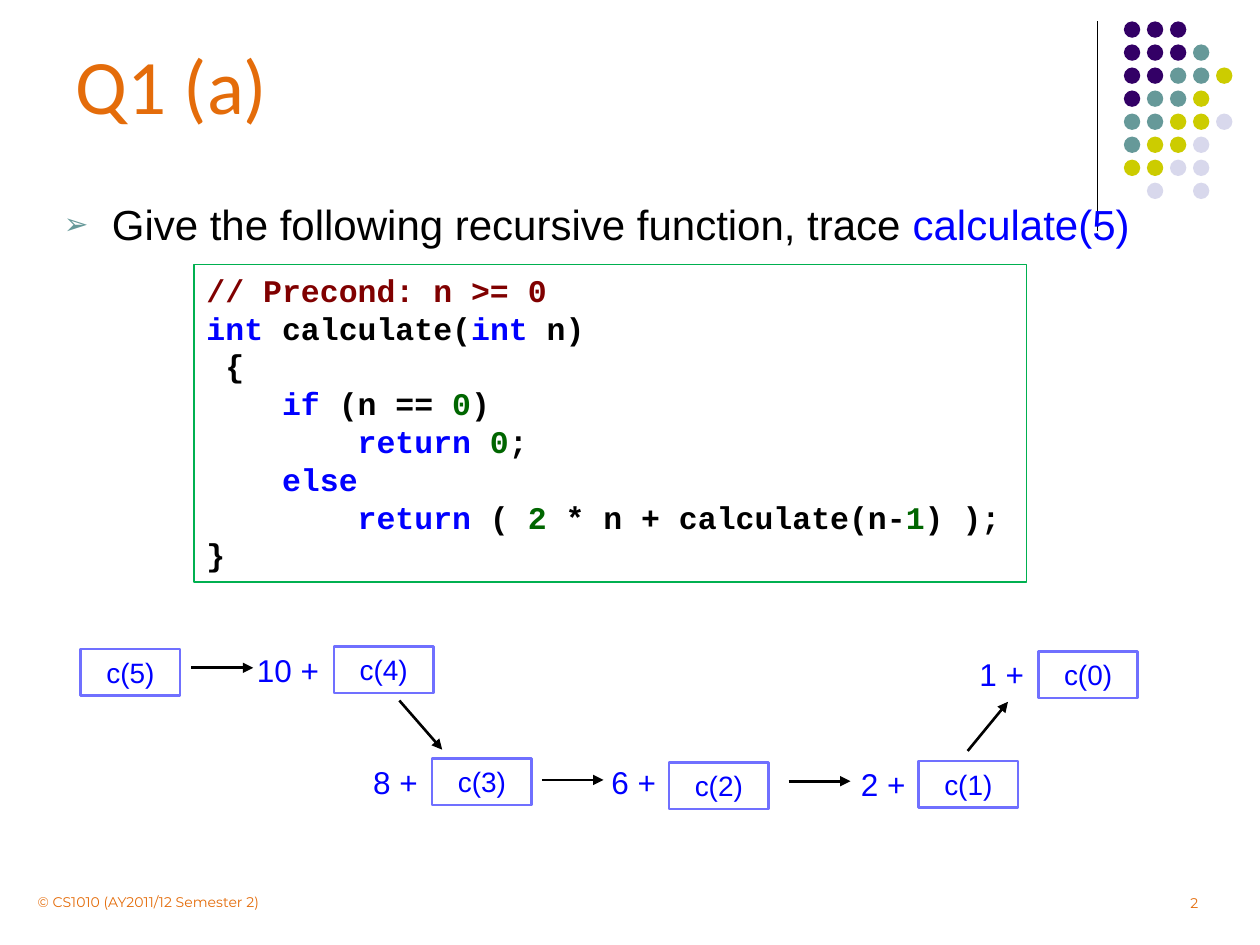
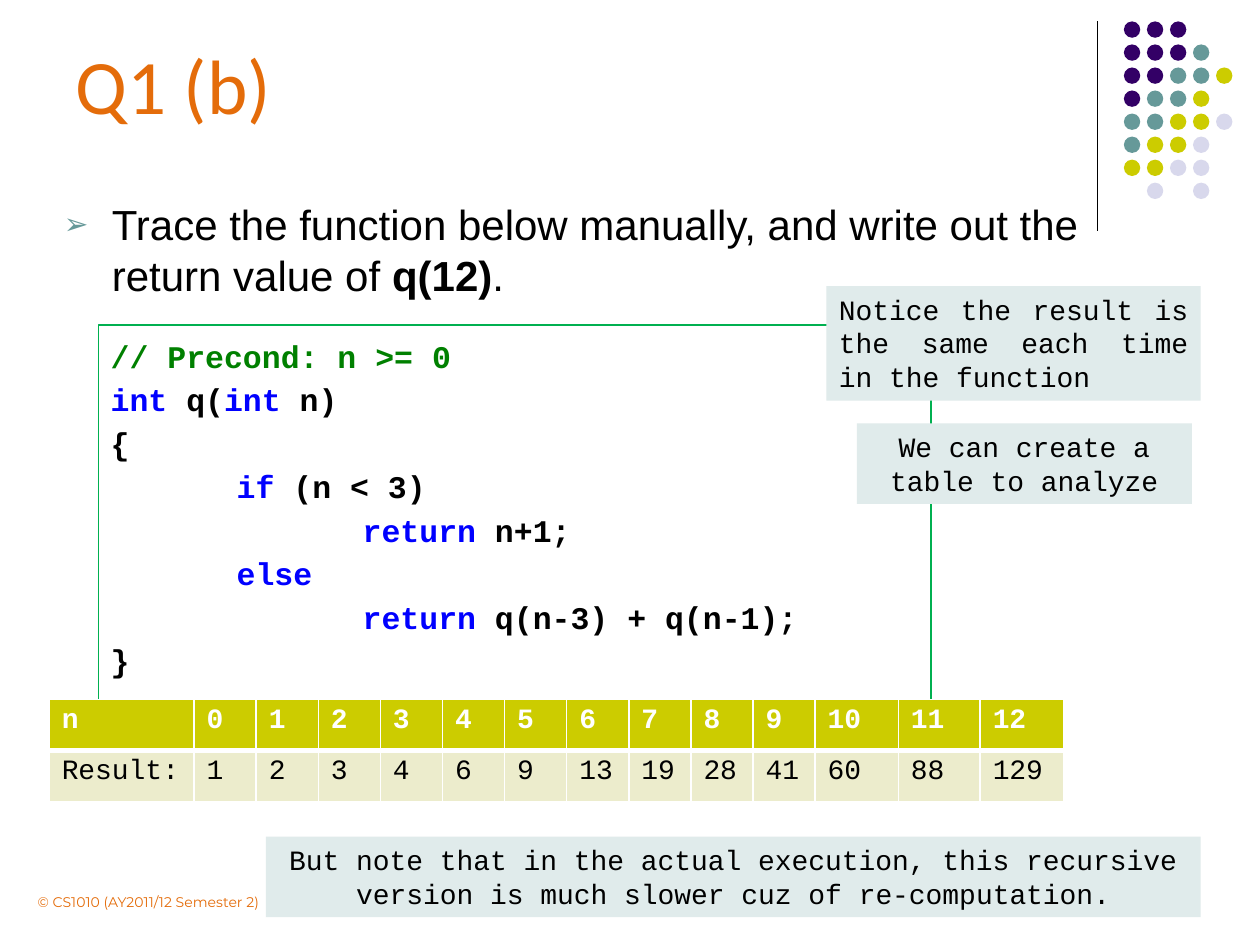
from typing import NamedTuple

from lxml import etree
from pptx import Presentation
from pptx.dml.color import RGBColor
from pptx.enum.shapes import MSO_CONNECTOR, MSO_SHAPE
from pptx.enum.text import MSO_ANCHOR, PP_ALIGN
from pptx.oxml.ns import qn
from pptx.util import Inches, Pt

RECT, OVAL = MSO_SHAPE.RECTANGLE, MSO_SHAPE.OVAL
STRAIGHT = MSO_CONNECTOR.STRAIGHT
LEFT, CENTER, RIGHT, JUSTIFY = PP_ALIGN.LEFT, PP_ALIGN.CENTER, PP_ALIGN.RIGHT, PP_ALIGN.JUSTIFY
TOP, BOTTOM = MSO_ANCHOR.TOP, MSO_ANCHOR.BOTTOM

BLACK, WHITE, BLUE, ORANGE = "000000", "FFFFFF", "0000FF", "E46C0A"
MAROON, GREEN, DARK_GREEN = "800000", "008000", "006600"
CODE_BORDER, CALL_BORDER, NOTE_FILL = "00B050", "7070FF", "E0EBEB"
PURPLE, TEAL, OLIVE, LILAC, CREAM = "330066", "669999", "CCCC00", "D8D8EC", "ECECCC"
SANS, MONO, TITLE_FONT, FOOTER_FONT = "Arial", "Courier New", "Calibri", "Montserrat"

DOT_COLORS = {"P": PURPLE, "T": TEAL, "Y": OLIVE, "L": LILAC}
DOT_ROWS = ["PPP", "PPPT", "PPTTY", "PTTY", "TTYYL", "TYYL", "YYLL", " L L"]
DOT_STEP = 1.28 / 7


class Box(NamedTuple):
    left: float
    top: float
    width: float
    height: float


class Run(NamedTuple):
    text: str
    color: str = BLACK
    bold: bool = False


class Style(NamedTuple):
    font: str
    size: float
    align: PP_ALIGN = LEFT
    spacing: float = 1.0


class Label(NamedTuple):
    text: str
    box: Box


class Arrow(NamedTuple):
    x1: float
    y1: float
    x2: float
    y2: float


class Note(NamedTuple):
    text: str
    box: Box
    align: PP_ALIGN = CENTER


CALL_STYLE = Style(SANS, 16, CENTER)
SUM_STYLE = Style(SANS, 18, CENTER)
CALL_SIZE = (0.79, 0.37)
SUM_SIZE = (0.56, 0.4)

CALCULATE_CODE = [
    [Run("// Precond: n >= 0", MAROON)],
    [Run("int", BLUE), Run(" calculate("), Run("int", BLUE), Run(" n)")],
    [Run(" {")],
    [Run("    "), Run("if", BLUE), Run(" (n == "), Run("0", DARK_GREEN), Run(")")],
    [Run("        "), Run("return ", BLUE), Run("0", DARK_GREEN), Run(";")],
    [Run("    "), Run("else", BLUE)],
    [Run("        "), Run("return", BLUE), Run(" ( "), Run("2", DARK_GREEN),
     Run(" * n + calculate(n-"), Run("1", DARK_GREEN), Run(") );")],
    [Run("}")],
]
Q_CODE = [
    [Run("// Precond: n >= 0", GREEN)],
    [Run("int", BLUE), Run(" q("), Run("int", BLUE), Run(" n)")],
    [Run("{")],
    [Run("\t"), Run("if", BLUE), Run(" (n < 3)")],
    [Run("\t\t"), Run("return", BLUE), Run(" n+1;")],
    [Run("\t"), Run("else", BLUE)],
    [Run("\t\t"), Run("return", BLUE), Run(" q(n-3) + q(n-1);")],
    [Run("}")],
]

CALLS = [
    Label("c(5)", Box(0.64, 5.15, *CALL_SIZE)), Label("c(4)", Box(2.65, 5.13, *CALL_SIZE)),
    Label("c(3)", Box(3.43, 6.02, *CALL_SIZE)), Label("c(2)", Box(5.31, 6.05, *CALL_SIZE)),
    Label("c(1)", Box(7.29, 6.04, *CALL_SIZE)), Label("c(0)", Box(8.24, 5.17, *CALL_SIZE)),
]
SUMS = [
    Label("10 +", Box(1.9, 5.12, 0.77, 0.4)), Label("8 +", Box(2.86, 6.01, *SUM_SIZE)),
    Label("6 +", Box(4.75, 6.01, *SUM_SIZE)), Label("2 +", Box(6.73, 6.02, *SUM_SIZE)),
    Label("1 +", Box(7.67, 5.15, *SUM_SIZE)),
]
TRACE_ARROWS = [
    Arrow(1.52, 5.3, 2.01, 5.3), Arrow(3.17, 5.56, 3.51, 5.95), Arrow(4.3, 6.19, 4.79, 6.19),
    Arrow(6.26, 6.2, 6.75, 6.2), Arrow(7.68, 5.96, 8, 5.57),
]

Q_RESULTS = [1, 2, 3, 4, 6, 9, 13, 19, 28, 41, 60, 88, 129]
RESULTS_BOX = Box(0.39, 5.55, 8.05, 0.81)
HEAD_WIDTH, WIDE_WIDTHS = 1.15, [0.66, 0.65, 0.66]
NOTES = [
    Note("Notice the result is the same each time in the function",
         Box(6.56, 2.27, 2.97, 0.91), JUSTIFY),
    Note("We can create a table to analyze", Box(6.8, 3.36, 2.66, 0.64)),
    Note("But note that in the actual execution, this recursive version is much slower "
         "cuz of re-computation.", Box(2.11, 6.64, 7.42, 0.64)),
]


def rgb(color: str) -> RGBColor:
    return RGBColor.from_string(color)


def inches(box: Box) -> list:
    return [Inches(v) for v in box]


def write(tf, lines: list[list[Run]], style: Style, anchor=TOP, wrap=True) -> None:
    tf.word_wrap = wrap
    tf.vertical_anchor = anchor
    for i, line in enumerate(lines):
        p = tf.add_paragraph() if i else tf.paragraphs[0]
        p.alignment = style.align
        p.line_spacing = style.spacing
        for run in line:
            r = p.add_run()
            r.text = run.text
            r.font.name, r.font.size, r.font.bold = style.font, Pt(style.size), run.bold
            r.font.color.rgb = rgb(run.color)


def add_text(slide, box: Box, lines: list[list[Run]], style: Style, anchor=TOP, wrap=True):
    tf = slide.shapes.add_textbox(*inches(box)).text_frame
    write(tf, lines, style, anchor, wrap)
    return tf


def add_shape(slide, kind, box: Box, fill: str = "", line: str = "", line_width: float = 0.75):
    sp = slide.shapes.add_shape(kind, *inches(box))
    sp.shadow.inherit = False
    if fill:
        sp.fill.solid()
        sp.fill.fore_color.rgb = rgb(fill)
    else:
        sp.fill.background()
    if line:
        sp.line.color.rgb = rgb(line)
        sp.line.width = Pt(line_width)
    else:
        sp.line.fill.background()
    return sp


def add_line(slide, ends: Arrow, width: float, head: bool = False) -> None:
    cx = slide.shapes.add_connector(STRAIGHT, *[Inches(v) for v in ends])
    cx.line.color.rgb = rgb(BLACK)
    cx.line.width = Pt(width)
    if head:
        etree.SubElement(cx.line._get_or_add_ln(), qn("a:tailEnd"), type="triangle")
    etree.SubElement(cx._element.spPr, qn("a:effectLst"))


def add_question_slide(prs, title: str, question: list[Run]):
    """Start a slide with its title, dot ornament, bulleted question and footer."""
    slide = prs.slides.add_slide(prs.slide_layouts[5])
    sp = slide.shapes.title
    sp.left, sp.top, sp.width, sp.height = inches(Box(0.5, 0.25, 9, 0.86))
    write(sp.text_frame, [[Run(title, ORANGE)]], Style(TITLE_FONT, 44))

    add_line(slide, Arrow(8.71, 0.17, 8.71, 1.83), 0.75)
    for i, row in enumerate(DOT_ROWS):
        for j, key in enumerate(row):
            if key in DOT_COLORS:
                dot = Box(8.92 + j * DOT_STEP, 0.17 + i * DOT_STEP, 0.13, 0.13)
                add_shape(slide, OVAL, dot, DOT_COLORS[key])

    tf = add_text(slide, Box(0.41, 1.53, 9, 1), [question], Style(SANS, 24))
    pPr = tf.paragraphs[0]._p.get_or_add_pPr()
    pPr.set("marL", str(Inches(0.38)))
    pPr.set("indent", str(Inches(-0.38)))
    color = etree.SubElement(pPr, qn("a:buClr"))
    etree.SubElement(color, qn("a:srgbClr"), val=TEAL)
    etree.SubElement(pPr, qn("a:buSzPct"), val="70000")
    etree.SubElement(pPr, qn("a:buFont"), typeface=SANS)
    etree.SubElement(pPr, qn("a:buChar"), char="➢")

    add_text(slide, Box(0.2, 7.04, 2.75, 0.24),
             [[Run("© CS1010 (AY2011/12 Semester 2)", ORANGE)]], Style(FOOTER_FONT, 8))
    return slide


def add_code(slide, box: Box, code: list[list[Run]], spacing: float = 1.0) -> None:
    """Draw a framed listing with a tab stop at every inch."""
    sp = add_shape(slide, RECT, box, line=CODE_BORDER)
    lines = [[run._replace(bold=True) for run in line] for line in code]
    write(sp.text_frame, lines, Style(MONO, 18, spacing=spacing))
    for p in sp.text_frame.paragraphs:
        tabs = etree.SubElement(p._p.get_or_add_pPr(), qn("a:tabLst"))
        for stop in (1, 2):
            etree.SubElement(tabs, qn("a:tab"), pos=str(Inches(stop)), algn="l")


def add_trace(slide) -> None:
    for call in CALLS:
        sp = add_shape(slide, RECT, call.box, line=CALL_BORDER, line_width=1.5)
        write(sp.text_frame, [[Run(call.text, BLUE)]], CALL_STYLE)
    for term in SUMS:
        add_text(slide, term.box, [[Run(term.text, BLUE)]], SUM_STYLE, wrap=False)
    for arrow in TRACE_ARROWS:
        add_line(slide, arrow, 1.5, head=True)


def set_borders(cell, top: float, bottom: float) -> None:
    tcPr = cell._tc.get_or_add_tcPr()
    for i, (side, width) in enumerate({"L": 1, "R": 1, "T": top, "B": bottom}.items()):
        ln = etree.Element(qn(f"a:ln{side}"), w=str(Pt(width)))
        fill = etree.SubElement(ln, qn("a:solidFill"))
        etree.SubElement(fill, qn("a:srgbClr"), val=WHITE)
        tcPr.insert(i, ln)


def add_results_table(slide) -> None:
    rows = [["n", *range(len(Q_RESULTS))], ["Result:", *Q_RESULTS]]
    digit_width = (RESULTS_BOX.width - HEAD_WIDTH - sum(WIDE_WIDTHS)) / 10
    widths = [HEAD_WIDTH] + [digit_width] * 10 + WIDE_WIDTHS
    table = slide.shapes.add_table(len(rows), len(widths), *inches(RESULTS_BOX)).table
    for column, width in zip(table.columns, widths):
        column.width = Inches(width)
    for i, values in enumerate(rows):
        header = i == 0
        for j, value in enumerate(values):
            cell = table.cell(i, j)
            cell.fill.solid()
            cell.fill.fore_color.rgb = rgb(OLIVE if header else CREAM)
            set_borders(cell, *((1, 3) if header else (3, 1)))
            run = Run(str(value), WHITE if header else BLACK, header)
            write(cell.text_frame, [[run]], Style(MONO, 16))


def add_note(slide, note: Note) -> None:
    sp = add_shape(slide, RECT, note.box, NOTE_FILL)
    write(sp.text_frame, [[Run(note.text)]], Style(MONO, 16, note.align))


def build_calculate_slide(prs) -> None:
    slide = add_question_slide(prs, "Q1 (a)", [
        Run("Give the following recursive function, trace "), Run("calculate(5)", BLUE)])
    add_code(slide, Box(1.54, 2.1, 6.61, 2.52), CALCULATE_CODE)
    add_trace(slide)
    tf = add_text(slide, Box(9, 7.03, 0.51, 0.2), [[Run("2", ORANGE)]],
                  Style(FOOTER_FONT, 8, RIGHT), BOTTOM)
    tf.margin_left = tf.margin_right = tf.margin_top = tf.margin_bottom = 0


def build_q_slide(prs) -> None:
    slide = add_question_slide(prs, "Q1 (b)", [
        Run("Trace the function below manually, and write out the return value of "),
        Run("q(12)", bold=True), Run(".")])
    add_code(slide, Box(0.78, 2.58, 6.61, 3.19), Q_CODE, spacing=1.15)
    add_results_table(slide)
    for note in NOTES:
        add_note(slide, note)


def main() -> None:
    prs = Presentation()
    prs.slide_width, prs.slide_height = Inches(10), Inches(7.5)
    build_calculate_slide(prs)
    build_q_slide(prs)
    prs.save("out.pptx")


if __name__ == "__main__":
    main()
